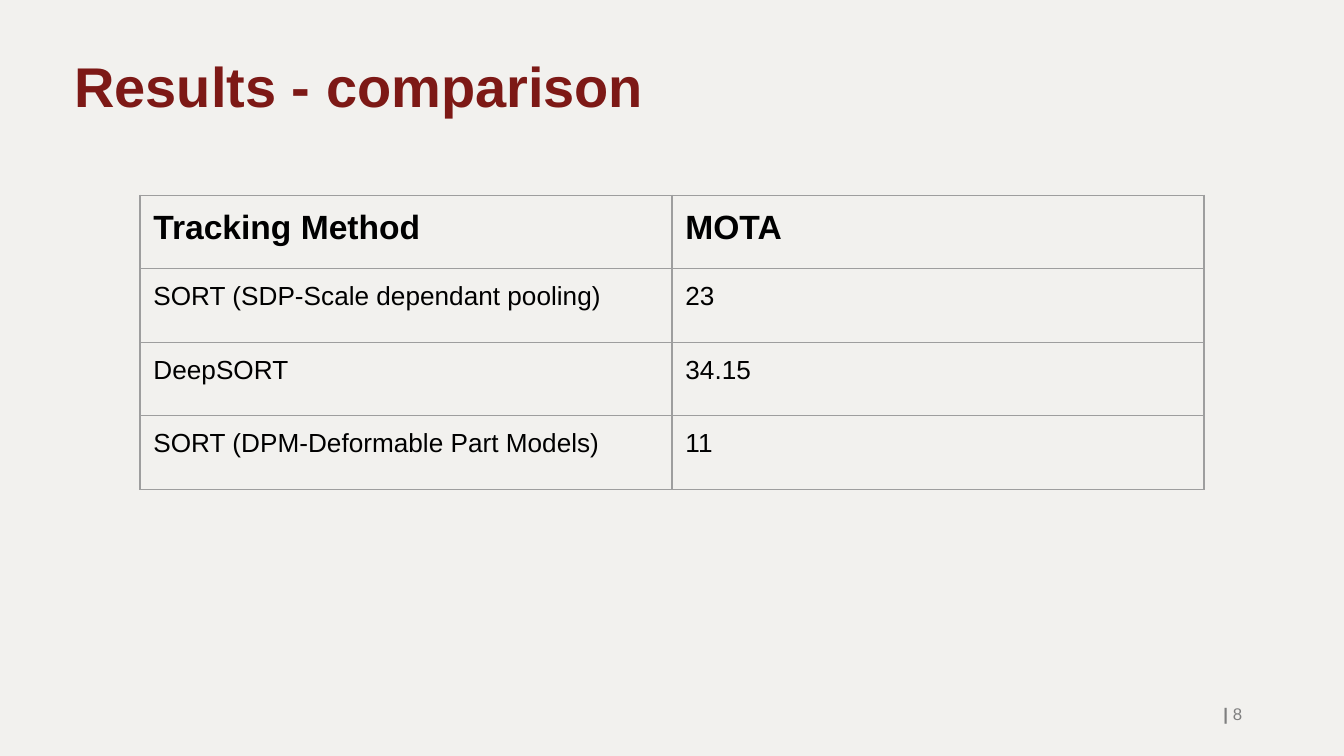
from lxml import etree
from pptx import Presentation
from pptx.dml.color import RGBColor
from pptx.enum.text import MSO_ANCHOR as Anchor, PP_ALIGN as Align
from pptx.oxml.ns import qn
from pptx.util import Pt

BACKGROUND, TITLE, INK, GREY, RULE = "F2F1EE", "7D1916", "000000", "7F7F7F", "9E9E9E"
ROWS = [
    ("Tracking Method", "MOTA"),
    ("SORT (SDP-Scale dependant pooling)", "23"),
    ("DeepSORT", "34.15"),
    ("SORT (DPM-Deformable Part Models)", "11"),
]
COL_WIDTH, ROW_HEIGHT, CELL_MARGIN = 285, 39.4, 7.2


def color(hex_string):
    return RGBColor.from_string(hex_string)


def set_all(obj, values):
    for name, value in values.items():
        setattr(obj, name, value)


def margins(x, y):
    return dict(margin_left=Pt(x), margin_right=Pt(x),
                margin_top=Pt(y), margin_bottom=Pt(y))


def add_run(p, text, size, hex_string, bold=False):
    r = p.add_run()
    r.text = text
    set_all(r.font, dict(name="Arial", size=Pt(size), bold=bold))
    r.font.color.rgb = color(hex_string)


def add_text(s, box, runs, anchor, **paragraph_format):
    """Add a text box; runs holds (text, size, colour, bold) tuples."""
    tf = s.shapes.add_textbox(*map(Pt, box)).text_frame
    set_all(tf, dict(word_wrap=True, vertical_anchor=anchor, **margins(5, 2.7)))
    p = tf.paragraphs[0]
    set_all(p, paragraph_format)
    for run in runs:
        add_run(p, *run)


def add_borders(cell, hex_string, width):
    tc_pr = cell._tc.get_or_add_tcPr()
    for side in ("lnL", "lnR", "lnT", "lnB"):
        ln = etree.SubElement(tc_pr, qn(f"a:{side}"), w=str(Pt(width)))
        fill = etree.SubElement(ln, qn("a:solidFill"))
        etree.SubElement(fill, qn("a:srgbClr"), val=hex_string)


def add_results_table(s, left, top):
    n_rows, n_cols = len(ROWS), len(ROWS[0])
    table = s.shapes.add_table(n_rows, n_cols, Pt(left), Pt(top),
                               Pt(COL_WIDTH * n_cols), Pt(ROW_HEIGHT * n_rows)).table
    set_all(table, dict(first_row=False, horz_banding=False))
    for col in table.columns:
        col.width = Pt(COL_WIDTH)
    for i, texts in enumerate(ROWS):
        table.rows[i].height = Pt(ROW_HEIGHT)
        header = i == 0
        for j, text in enumerate(texts):
            cell = table.cell(i, j)
            set_all(cell, margins(CELL_MARGIN, CELL_MARGIN))
            add_borders(cell, RULE, 0.75)
            cell.fill.background()
            add_run(cell.text_frame.paragraphs[0], text, 18 if header else 14, INK, header)


def main():
    prs = Presentation()
    set_all(prs, dict(slide_width=Pt(720), slide_height=Pt(405)))
    s = prs.slides.add_slide(prs.slide_layouts[6])
    s.background.fill.solid()
    s.background.fill.fore_color.rgb = color(BACKGROUND)

    add_text(s, (34.8, -11.5, 620.6, 78.5), [("Results - comparison", 30, TITLE, True)],
             Anchor.BOTTOM, line_spacing=0.9)
    add_results_table(s, 75, 104.6)
    add_text(s, (638, 371, 32.4, 22.3), [("| ", 9, GREY, True), ("8", 9, GREY)],
             Anchor.MIDDLE, alignment=Align.RIGHT)
    prs.save("out.pptx")


if __name__ == "__main__":
    main()
